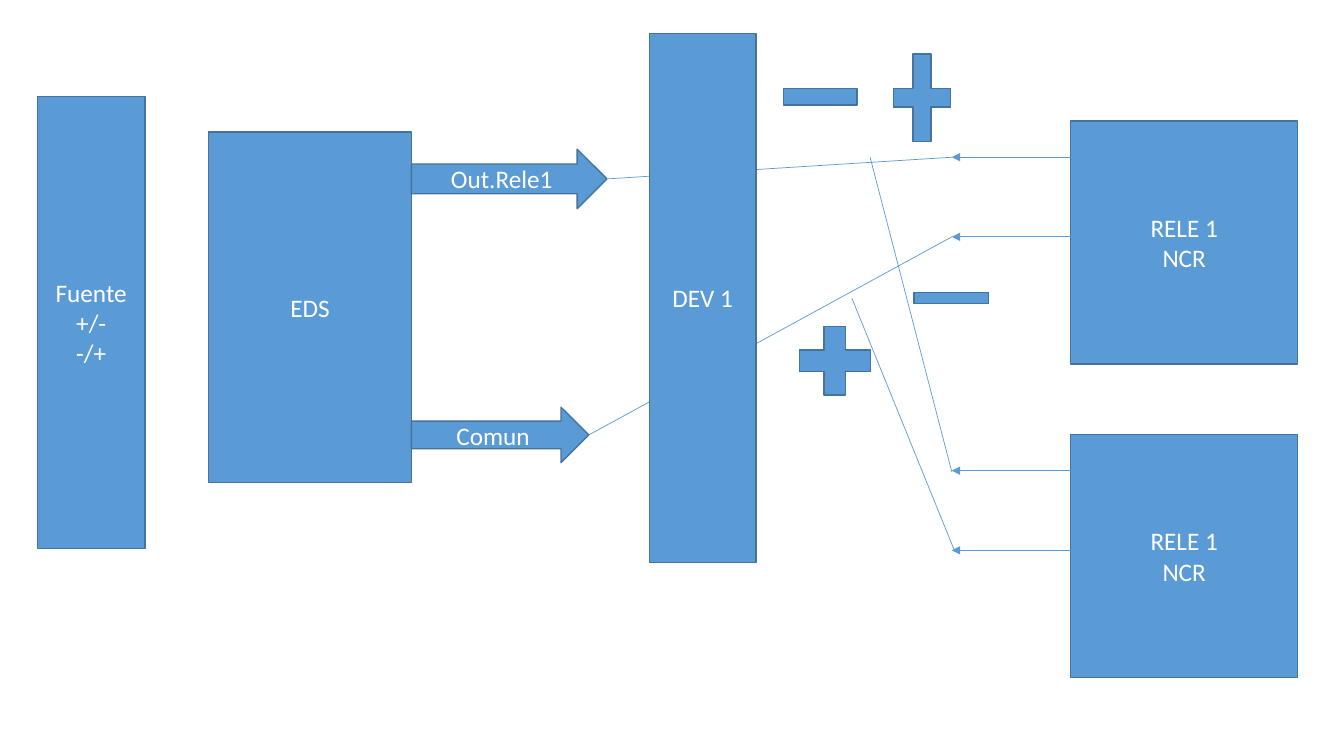
from lxml.etree import SubElement
from pptx import Presentation
from pptx.dml.color import RGBColor
from pptx.enum.shapes import MSO_CONNECTOR, MSO_SHAPE
from pptx.enum.text import MSO_ANCHOR, PP_ALIGN
from pptx.oxml.ns import qn
from pptx.util import Inches, Pt

BLUE = "5B9BD5"
OUTLINE = "43739E"
WHITE = "FFFFFF"

deck = Presentation()
deck.slide_width = Inches(13.33)
deck.slide_height = Inches(7.5)
page = deck.slides.add_slide(deck.slide_layouts[6])
color = RGBColor.from_string


def add_block(kind, left, top, width, height, lines=()):
    block = page.shapes.add_shape(kind, Inches(left), Inches(top), Inches(width), Inches(height))
    block.shadow.inherit = False
    block.fill.solid()
    block.fill.fore_color.rgb = color(BLUE)
    block.line.color.rgb = color(OUTLINE)
    block.line.width = Pt(1)
    frame = block.text_frame
    frame.word_wrap = True
    frame.vertical_anchor = MSO_ANCHOR.MIDDLE
    for index, line in enumerate(lines):
        para = frame.add_paragraph() if index else frame.paragraphs[0]
        para.text = line
        para.alignment = PP_ALIGN.CENTER
        para.font.size = Pt(18)
        para.font.name = "Calibri"
        para.font.color.rgb = color(WHITE)
    return block


def add_wire(start_x, start_y, end_x, end_y, arrow=False):
    wire = page.shapes.add_connector(
        MSO_CONNECTOR.STRAIGHT, Inches(start_x), Inches(start_y), Inches(end_x), Inches(end_y))
    wire.line.color.rgb = color(BLUE)
    wire.line.width = Pt(0.5)
    properties = wire._element.spPr
    if arrow:
        SubElement(properties.find(qn("a:ln")), qn("a:tailEnd"), type="triangle")
    SubElement(properties, qn("a:effectLst"))
    return wire


add_block(MSO_SHAPE.RECTANGLE, 0.37, 0.96, 1.07, 4.48, ["Fuente +/-", "-/+"])
add_block(MSO_SHAPE.RECTANGLE, 2.07, 1.31, 2.01, 3.48, ["EDS"])

for label, top, width, height, relay_y in [
    ("Out.Rele1", 1.48, 1.94, 0.59, 1.56),
    ("Comun", 4.04, 1.76, 0.55, 2.35),
]:
    output = add_block(MSO_SHAPE.RIGHT_ARROW, 4.08, top, width, height, [label])
    output_wire = add_wire(4.08 + width, top + height / 2, 9.44, relay_y)
    output_wire.begin_connect(output, 3)

for sign, left, top, width, height in [
    (MSO_SHAPE.MATH_PLUS, 8.76, 0.38, 0.77, 1.18),
    (MSO_SHAPE.MATH_MINUS, 8.93, 2.72, 1.01, 0.47),
    (MSO_SHAPE.MATH_MINUS, 7.64, 0.61, 0.99, 0.7),
    (MSO_SHAPE.MATH_PLUS, 7.8, 3.12, 0.96, 0.92),
]:
    add_block(sign, left, top, width, height)

add_block(MSO_SHAPE.RECTANGLE, 6.44, 0.33, 1.06, 5.25, ["DEV 1"])

for relay_top in (1.2, 4.31):
    add_block(MSO_SHAPE.RECTANGLE, 10.62, relay_top, 2.25, 2.41, ["RELE 1", "NCR"])
    for offset in (0.36, 1.15):
        add_wire(10.62, relay_top + offset, 9.44, relay_top + offset, arrow=True)

add_wire(8.63, 1.56, 9.44, 4.68)
add_wire(8.45, 2.96, 9.47, 5.47)

deck.save("out.pptx")
